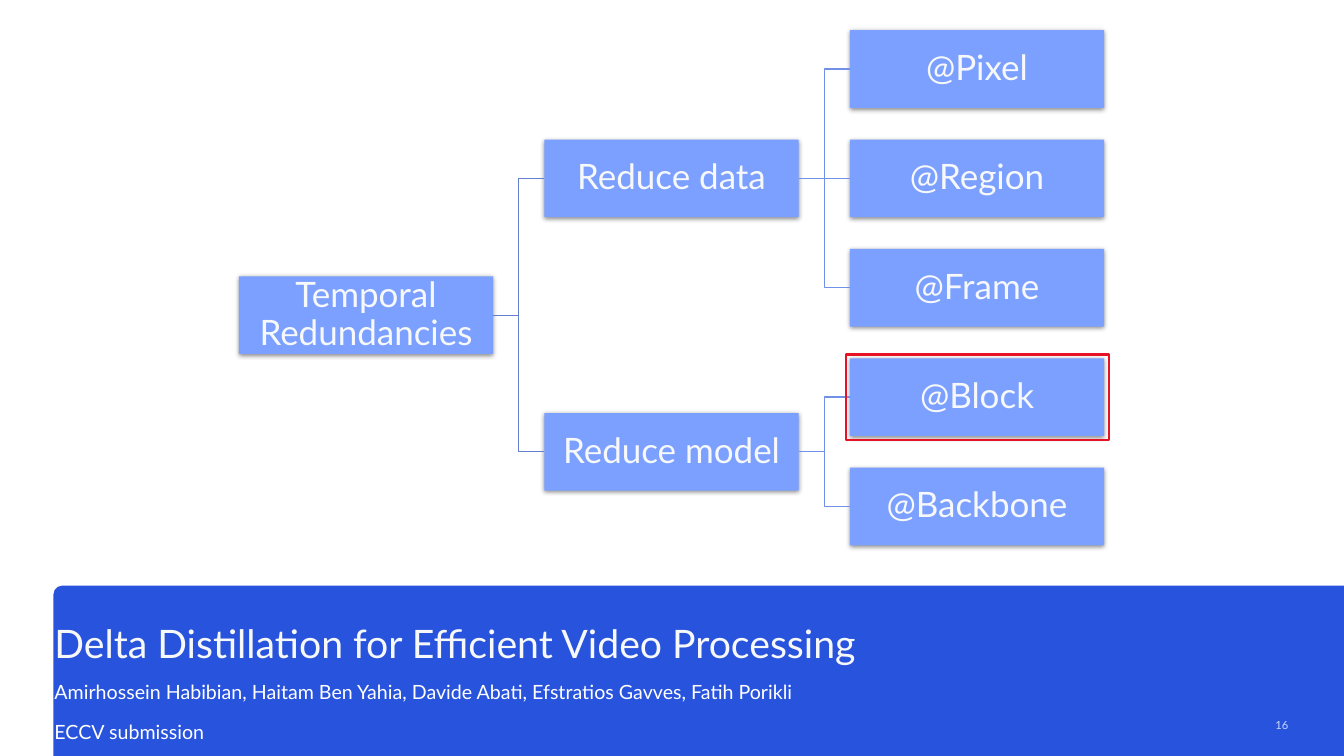
from lxml import etree
from pptx import Presentation
from pptx.dml.color import RGBColor
from pptx.enum.shapes import MSO_CONNECTOR, MSO_SHAPE
from pptx.enum.text import MSO_ANCHOR, MSO_AUTO_SIZE, PP_ALIGN
from pptx.oxml.ns import qn
from pptx.util import Inches, Pt

ELBOW, STRAIGHT = MSO_CONNECTOR.ELBOW, MSO_CONNECTOR.STRAIGHT
RECTANGLE, ROUNDED = MSO_SHAPE.RECTANGLE, MSO_SHAPE.ROUNDED_RECTANGLE
TOP, MIDDLE, BOTTOM = MSO_ANCHOR.TOP, MSO_ANCHOR.MIDDLE, MSO_ANCHOR.BOTTOM
LEFT, CENTER, RIGHT = PP_ALIGN.LEFT, PP_ALIGN.CENTER, PP_ALIGN.RIGHT
NO_AUTOFIT = MSO_AUTO_SIZE.NONE

PANEL_BLUE = RGBColor(0x28, 0x53, 0xDC)
NODE_BLUE = RGBColor(0x7B, 0xA0, 0xFF)
ROOT_LINE = RGBColor(0x63, 0x80, 0xCC)
BRANCH_LINE = RGBColor(0x70, 0x91, 0xE7)
RED = RGBColor(0xE7, 0x13, 0x24)
OFF_WHITE = RGBColor(0xF7, 0xF8, 0xFA)
WHITE = RGBColor(0xFF, 0xFF, 0xFF)
PALE_BLUE = RGBColor(0xCA, 0xD9, 0xFF)

FONT = "Lato"
NODE_WIDTH, NODE_HEIGHT = 2.52, 0.77
FIRST_LEFT, COLUMN_STEP = 2.37, 3.03
FIRST_TOP, ROW_STEP = 0.3, 1.085
RIGHT_SITE, LEFT_SITE = 3, 1

ROOT = "Temporal Redundancies"
BRANCHES = {
    "Reduce data": ["@Pixel", "@Region", "@Frame"],
    "Reduce model": ["@Block", "@Backbone"],
}
HIGHLIGHTED = "@Block"


def write_text(shape, text, size, color, align=LEFT, anchor=TOP, margin=0.0, spacing=1.0):
    frame = shape.text_frame
    frame.text = text
    frame.word_wrap = True
    frame.auto_size = NO_AUTOFIT
    frame.vertical_anchor = anchor
    frame.margin_left = frame.margin_right = Inches(margin)
    frame.margin_top = frame.margin_bottom = Inches(margin)
    for para in frame.paragraphs:
        para.alignment = align
        para.line_spacing = spacing
        for span in para.runs:
            span.font.name = FONT
            span.font.size = Pt(size)
            span.font.color.rgb = color


def add_box(slide, kind, left, top, width, height, fill=None, line=None):
    box = slide.shapes.add_shape(kind, Inches(left), Inches(top), Inches(width), Inches(height))
    box.shadow.inherit = False
    if fill is None:
        box.fill.background()
    else:
        box.fill.solid()
        box.fill.fore_color.rgb = fill
    if line is None:
        box.line.fill.background()
    else:
        box.line.color.rgb = line
        box.line.width = Pt(2)
    return box


def add_soft_shadow(box):
    effects = box._element.spPr.find(qn("a:effectLst"))
    shadow = etree.SubElement(effects, qn("a:outerShdw"), blurRad=str(Pt(3.5)),
                              dist=str(Pt(1.1)), dir="5400000", algn="ctr", rotWithShape="0")
    color = etree.SubElement(shadow, qn("a:srgbClr"), val="000000")
    etree.SubElement(color, qn("a:alpha"), val="45000")


def add_node(slide, text, column, row):
    """Add a tree box; row may be fractional for a parent between its children."""
    node = add_box(slide, RECTANGLE, FIRST_LEFT + column * COLUMN_STEP,
                   FIRST_TOP + row * ROW_STEP, NODE_WIDTH, NODE_HEIGHT, NODE_BLUE)
    add_soft_shadow(node)
    write_text(node, text, 25, OFF_WHITE, CENTER, MIDDLE, 0.02, 0.9)
    return node


def link(slide, parent, child, color):
    kind = STRAIGHT if parent.top == child.top else ELBOW
    connector = slide.shapes.add_connector(kind, 0, 0, 0, 0)
    connector.begin_connect(parent, RIGHT_SITE)
    connector.end_connect(child, LEFT_SITE)
    connector.line.color.rgb = color
    connector.line.width = Pt(0.85)
    etree.SubElement(connector._element.spPr, qn("a:effectLst"))


def add_tree(slide):
    first_row = 0
    branch_rows = []
    branch_nodes = []
    for branch, leaves in BRANCHES.items():
        row = first_row + (len(leaves) - 1) / 2
        branch_node = add_node(slide, branch, 1, row)
        for leaf_row, leaf in enumerate(leaves, first_row):
            leaf_node = add_node(slide, leaf, 2, leaf_row)
            link(slide, branch_node, leaf_node, BRANCH_LINE)
            if leaf == HIGHLIGHTED:
                highlight_row = leaf_row
        first_row += len(leaves)
        branch_rows.append(row)
        branch_nodes.append(branch_node)
    root_node = add_node(slide, ROOT, 0, sum(branch_rows) / len(branch_rows))
    for branch_node in branch_nodes:
        link(slide, root_node, branch_node, ROOT_LINE)
    add_box(slide, RECTANGLE, FIRST_LEFT + 2 * COLUMN_STEP - 0.04,
            FIRST_TOP + highlight_row * ROW_STEP - 0.04,
            NODE_WIDTH + 0.09, NODE_HEIGHT + 0.08, line=RED)


def add_text(slide, left, top, width, height, text, size, color, **layout):
    box = slide.shapes.add_textbox(Inches(left), Inches(top), Inches(width), Inches(height))
    write_text(box, text, size, color, **layout)
    return box


def add_title_panel(slide):
    panel = add_box(slide, ROUNDED, 0.53, 5.81, 12.97, 1.86, PANEL_BLUE)
    panel.adjustments[0] = 0.048
    title = slide.shapes.title
    title._element.addprevious(panel._element)
    title.left, title.top = Inches(0.54), Inches(5.9)
    title.width, title.height = Inches(12.23), Inches(1.02)
    write_text(title, "Delta Distillation for Efficient Video Processing", 28, OFF_WHITE,
               anchor=MIDDLE, spacing=0.89)
    authors = add_text(
        slide, 0.54, 6.74, 12.23, 0.59,
        "Amirhossein Habibian, Haitam Ben Yahia, Davide Abati, Efstratios Gavves, Fatih Porikli\n"
        "ECCV submission", 14, WHITE)
    authors.text_frame.paragraphs[1].space_before = Pt(12)
    add_text(slide, 12.39, 7.12, 0.41, 0.16, "16", 8, PALE_BLUE,
             align=RIGHT, anchor=BOTTOM, margin=0.02, spacing=1.25)


def main():
    deck = Presentation()
    deck.slide_width, deck.slide_height = Inches(13.33), Inches(7.5)
    slide = deck.slides.add_slide(deck.slide_layouts.get_by_name("Title Only"))
    add_title_panel(slide)
    add_tree(slide)
    deck.save("out.pptx")


if __name__ == "__main__":
    main()
